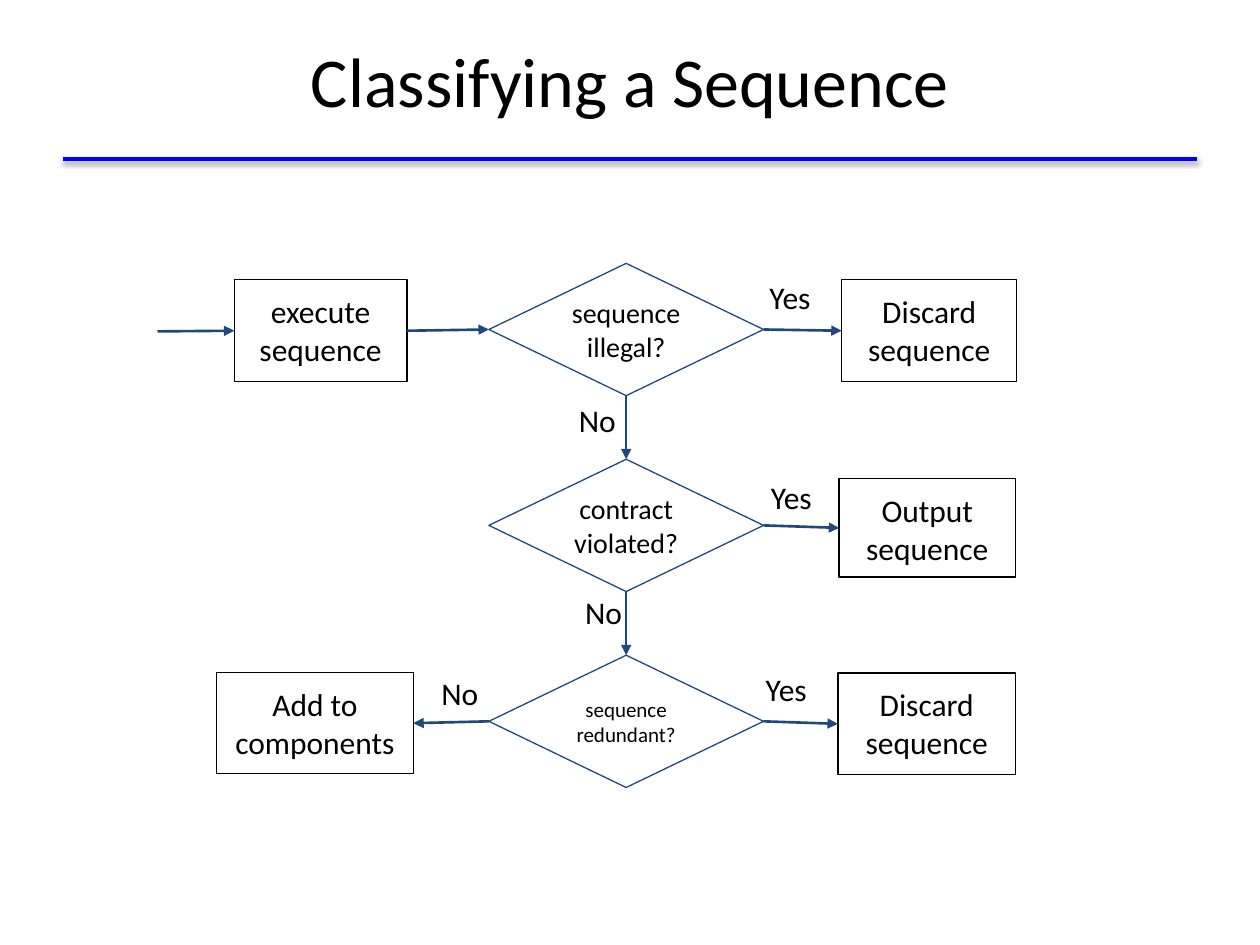
from lxml import etree
from pptx import Presentation
from pptx.dml.color import RGBColor
from pptx.enum.shapes import MSO_CONNECTOR, MSO_SHAPE
from pptx.enum.text import MSO_ANCHOR, PP_ALIGN
from pptx.oxml.ns import qn
from pptx.util import Inches, Pt

LINE = MSO_CONNECTOR.STRAIGHT
RECT, DIAMOND = MSO_SHAPE.RECTANGLE, MSO_SHAPE.DIAMOND
TOP, MIDDLE = MSO_ANCHOR.TOP, MSO_ANCHOR.MIDDLE
CENTER = PP_ALIGN.CENTER
NORTH, WEST, SOUTH, EAST = range(4)
BLACK, NAVY, BLUE = "000000", "1F497D", "0000FF"


def paint(code):
    return RGBColor.from_string(code)


class Chart:
    """Draws flowchart parts on a slide ruled in 100 columns and 75 rows."""

    font = "Calibri"

    def __init__(self, deck):
        self.col = deck.slide_width / 100
        self.row = deck.slide_height / 75
        self.slide = deck.slides.add_slide(deck.slide_layouts[5])
        self.shapes = self.slide.shapes

    def area(self, x, y, w, h):
        return [round(n) for n in (x * self.col, y * self.row, w * self.col, h * self.row)]

    def letter(self, shape, text, size, anchor=MIDDLE, inset=0.1):
        frame = shape.text_frame
        frame.word_wrap = True
        frame.vertical_anchor = anchor
        frame.margin_left = frame.margin_right = Inches(inset)
        frame.margin_top = frame.margin_bottom = Inches(inset)
        para = frame.paragraphs[0]
        para.text = text
        para.alignment = CENTER
        para.font.name = self.font
        para.font.size = Pt(size)
        para.font.color.rgb = paint(BLACK)

    def title(self, text, *area):
        shape = self.shapes.title
        shape.left, shape.top, shape.width, shape.height = self.area(*area)
        self.letter(shape, text, 40)

    def node(self, kind, text, area, color, size, anchor):
        shape = self.shapes.add_shape(kind, *self.area(*area))
        shape.shadow.inherit = False
        shape.fill.background()
        shape.line.color.rgb = paint(color)
        shape.line.width = Pt(0.75)
        self.letter(shape, text, size, anchor)
        return shape

    def box(self, text, *area):
        return self.node(RECT, text, area, BLACK, 18, TOP)

    def test(self, text, size, *area):
        return self.node(DIAMOND, text, area, NAVY, size, MIDDLE)

    def label(self, text, x, y):
        self.letter(self.shapes.add_textbox(*self.area(x, y, 6.8, 4.4)), text, 18)

    def line(self, x1, y1, x2, y2, color, width):
        line = self.shapes.add_connector(LINE, *self.area(x1, y1, x2, y2))
        line.line.color.rgb = paint(color)
        line.line.width = Pt(width)
        effect = etree.SubElement(line._element.spPr, qn("a:effectLst"))
        return line, effect

    def rule(self, x1, x2, y):
        effect = self.line(x1, y, x2, y, BLUE, 2)[1]
        shade = etree.SubElement(effect, qn("a:outerShdw"), blurRad="40000",
                                 dist="20000", dir="5400000", rotWithShape="0")
        tint = etree.SubElement(shade, qn("a:srgbClr"), val=BLACK)
        etree.SubElement(tint, qn("a:alpha"), val="38000")

    def arrow(self, x1=0, y1=0, x2=0, y2=0, start=None, end=None):
        line = self.line(x1, y1, x2, y2, NAVY, 1.5)[0]
        etree.SubElement(line.get_or_add_ln(), qn("a:tailEnd"), type="triangle")
        if start:
            line.begin_connect(*start)
        if end:
            line.end_connect(*end)


def main():
    deck = Presentation()
    deck.slide_width, deck.slide_height = Inches(10), Inches(7.5)
    chart = Chart(deck)
    chart.rule(5, 95, 12.6)
    chart.title("Classifying a Sequence", 5, 0.1, 90, 12.5)

    first = chart.box("execute sequence", 18.6, 22.2, 13.7, 8.1)
    last = chart.box("Add to components", 17.2, 53.4, 15.6, 8)
    steps = [
        ("sequence\nillegal?", 16, "Discard sequence", (66.8, 22.2, 13.9, 8.1), (59.3, 21.4)),
        ("contract\nviolated?", 16, "Output sequence", (66.6, 38, 14, 7.8), (59.4, 37.2)),
        ("sequence\nredundant?", 12, "Discard sequence", (66.5, 53.4, 14.1, 8.1), (59, 52.5)),
    ]
    tests = []
    for i, (ask, size, result, area, spot) in enumerate(steps):
        test = chart.test(ask, size, 38.8, 20.9 + 15.55 * i, 21.8, 10.5)
        goal = chart.box(result, *area)
        chart.arrow(start=(test, EAST), end=(goal, WEST))
        chart.label("Yes", *spot)
        tests.append(test)

    chart.arrow(12.5, 26.3, 18.6, 26.3, end=(first, WEST))
    chart.arrow(start=(first, EAST), end=(tests[0], WEST))
    for above, below in zip(tests, tests[1:]):
        chart.arrow(start=(above, SOUTH), end=(below, NORTH))
    chart.arrow(start=(tests[-1], WEST), end=(last, EAST))
    for spot in ((44, 31.1), (44.5, 46.4), (33.1, 52.8)):
        chart.label("No", *spot)
    deck.save("out.pptx")


if __name__ == "__main__":
    main()
